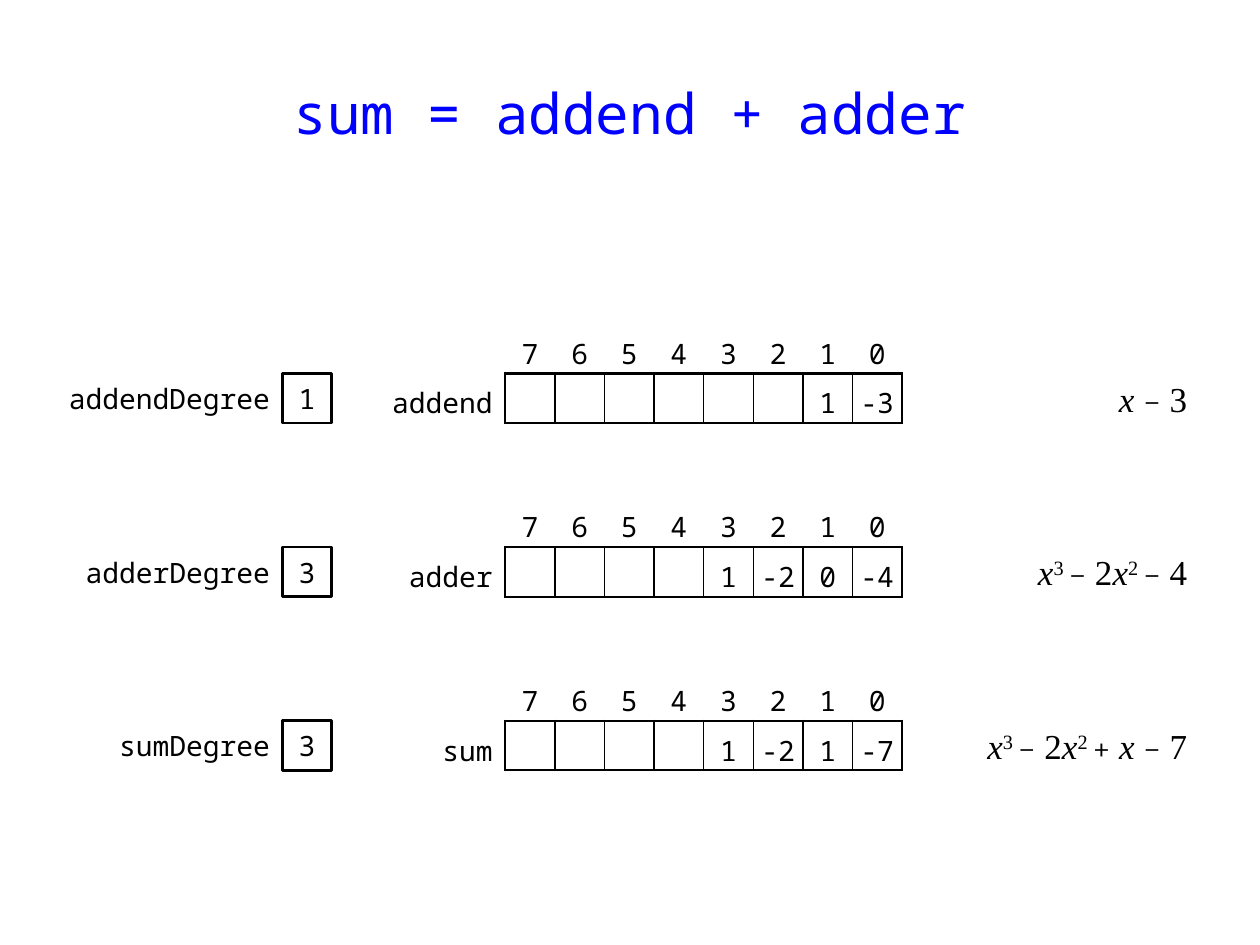
from lxml import etree
from pptx import Presentation
from pptx.dml.color import RGBColor
from pptx.enum import shapes, text
from pptx.oxml import ns
from pptx.util import Inches, Pt

# Content: widths of labels and formulas are counted in cells
TITLE = "sum = addend + adder"
PLACES = ["7", "6", "5", "4", "3", "2", "1", "0"]
POLYS = [
    {"name": "addend", "degree": "1", "coefs": ["1", "-3"],
     "label": 5, "span": 2.5,
     "formula": [("x ", "var"), ("−", "sign"), (" 3", "num")]},
    {"name": "adder", "degree": "3", "coefs": ["1", "-2", "0", "-4"],
     "label": 4.5, "span": 4,
     "formula": [("x", "var"), ("3 ", "power"), ("−", "sign"), (" 2", "num"),
                 ("x", "var"), ("2 ", "power"), ("−", "sign"), (" 4", "num")]},
    {"name": "sum", "degree": "3", "coefs": ["1", "-2", "1", "-7"],
     "label": 4, "span": 5.5,
     "formula": [("x", "var"), ("3 ", "power"), ("−", "sign"), (" 2", "num"),
                 ("x", "var"), ("2 ", "power"), ("+", "sign"), (" ", "num"),
                 ("x ", "var"), ("−", "sign"), (" 7", "num")]},
]


class Theme:
    mono, serif, math = "Noto Sans Mono", "Times New Roman", "Cambria"
    head, code, term, sign = 32, 16, 20, 18
    blue, black, white = "0000FF", "000000", "FFFFFF"
    thick, thin = 1.5, 1


# Layout in inches
NAME = 0.98
CELL = 3.15 / len(PLACES)
TOP, PITCH = 2.57, 3.5 * CELL
BOX, GRID, RIGHT = 2.24, 3.03, 9.52
LEFT_AL, MID_AL = text.PP_ALIGN.RIGHT, text.PP_ALIGN.CENTER


def style(font, face=Theme.mono, size=Theme.code, color=Theme.black):
    font.name, font.size = face, Pt(size)
    font.color.rgb = RGBColor.from_string(color)


def write(frame, words, align, **look):
    para = frame.paragraphs[0]
    para.text, para.alignment = words, align
    for run in para.runs:
        style(run.font, **look)
    return para


def border(cell, **widths):
    props = cell._tc.get_or_add_tcPr()
    for spot, side in enumerate("LRTB"):
        width = widths.get(side, 0)
        line = etree.Element(ns.qn("a:ln" + side), w=str(Pt(width)))
        if width:
            fill = etree.SubElement(line, ns.qn("a:solidFill"))
            etree.SubElement(fill, ns.qn("a:srgbClr"), val=Theme.black)
        else:
            etree.SubElement(line, ns.qn("a:noFill"))
        props.insert(spot, line)


def add_text(slide, left, top, width):
    box = slide.shapes.add_textbox(
        Inches(left), Inches(top), Inches(width), Inches(CELL))
    frame = box.text_frame
    frame.word_wrap = True
    frame.margin_top = frame.margin_bottom = 0
    frame.vertical_anchor = text.MSO_ANCHOR.MIDDLE
    return frame


def add_degree(slide, poly, top):
    label = add_text(slide, BOX - poly["label"] * CELL, top, poly["label"] * CELL)
    write(label, poly["name"] + "Degree", LEFT_AL)
    box = slide.shapes.add_shape(
        shapes.MSO_SHAPE.RECTANGLE,
        Inches(BOX), Inches(top), Inches(CELL), Inches(CELL))
    box.shadow.inherit = False
    box.fill.solid()
    box.fill.fore_color.rgb = RGBColor.from_string(Theme.white)
    box.line.color.rgb = RGBColor.from_string(Theme.black)
    box.line.width = Pt(Theme.thick)
    box.text_frame.vertical_anchor = text.MSO_ANCHOR.MIDDLE
    write(box.text_frame, poly["degree"], MID_AL)


def add_grid(slide, poly, top):
    count = len(PLACES)
    blanks = [""] * (count - len(poly["coefs"]))
    rows = [[""] + PLACES, [poly["name"]] + blanks + poly["coefs"]]
    table = slide.shapes.add_table(
        2, count + 1, Inches(GRID), Inches(top),
        Inches(NAME + count * CELL), Inches(2 * CELL)).table
    table.first_row = table.horz_banding = False
    for col, column in enumerate(table.columns):
        column.width = Inches(CELL if col else NAME)
    for r, row in enumerate(rows):
        table.rows[r].height = Inches(CELL)
        for col, words in enumerate(row):
            cell = table.cell(r, col)
            cell.fill.background()
            cell.vertical_anchor = text.MSO_ANCHOR.MIDDLE
            cell.margin_top = cell.margin_bottom = 0
            cell.margin_left = Inches(0 if col else 0.04)
            cell.margin_right = Inches(0 if col else 0.1)
            para = write(cell.text_frame, words, MID_AL if col else LEFT_AL)
            para.line_spacing = 1.25
            if r and col:
                border(cell, T=Theme.thick, B=Theme.thick,
                       L=Theme.thick if col == 1 else Theme.thin,
                       R=Theme.thick if col == count else Theme.thin)
            elif r:
                border(cell, R=Theme.thick)
            else:
                border(cell, B=Theme.thick if col else 0)


def add_formula(slide, poly, top):
    width = poly["span"] * CELL
    para = add_text(slide, RIGHT - width, top, width).paragraphs[0]
    para.alignment = LEFT_AL
    for words, kind in poly["formula"]:
        run = para.add_run()
        run.text = words
        if kind == "sign":
            style(run.font, Theme.math, Theme.sign)
        else:
            style(run.font, Theme.serif, Theme.term)
        run.font.italic = kind == "var"
        if kind == "power":
            run.font._element.set("baseline", "30000")


def main():
    deck = Presentation()
    deck.slide_width, deck.slide_height = Inches(10), Inches(7.5)
    slide = deck.slides.add_slide(deck.slide_layouts[5])

    # Title
    title = slide.shapes.title
    title.left, title.top = Inches(0.47), Inches(0.4)
    title.width, title.height = Inches(9.06), Inches(0.98)
    title.text_frame.vertical_anchor = text.MSO_ANCHOR.MIDDLE
    write(title.text_frame, TITLE, MID_AL, size=Theme.head, color=Theme.blue)

    # One band per polynomial: degree, coefficients, formula
    for i, poly in enumerate(POLYS):
        top = TOP + i * PITCH
        add_degree(slide, poly, top + CELL)
        add_grid(slide, poly, top)
        add_formula(slide, poly, top + CELL)

    deck.save("out.pptx")


if __name__ == "__main__":
    main()
